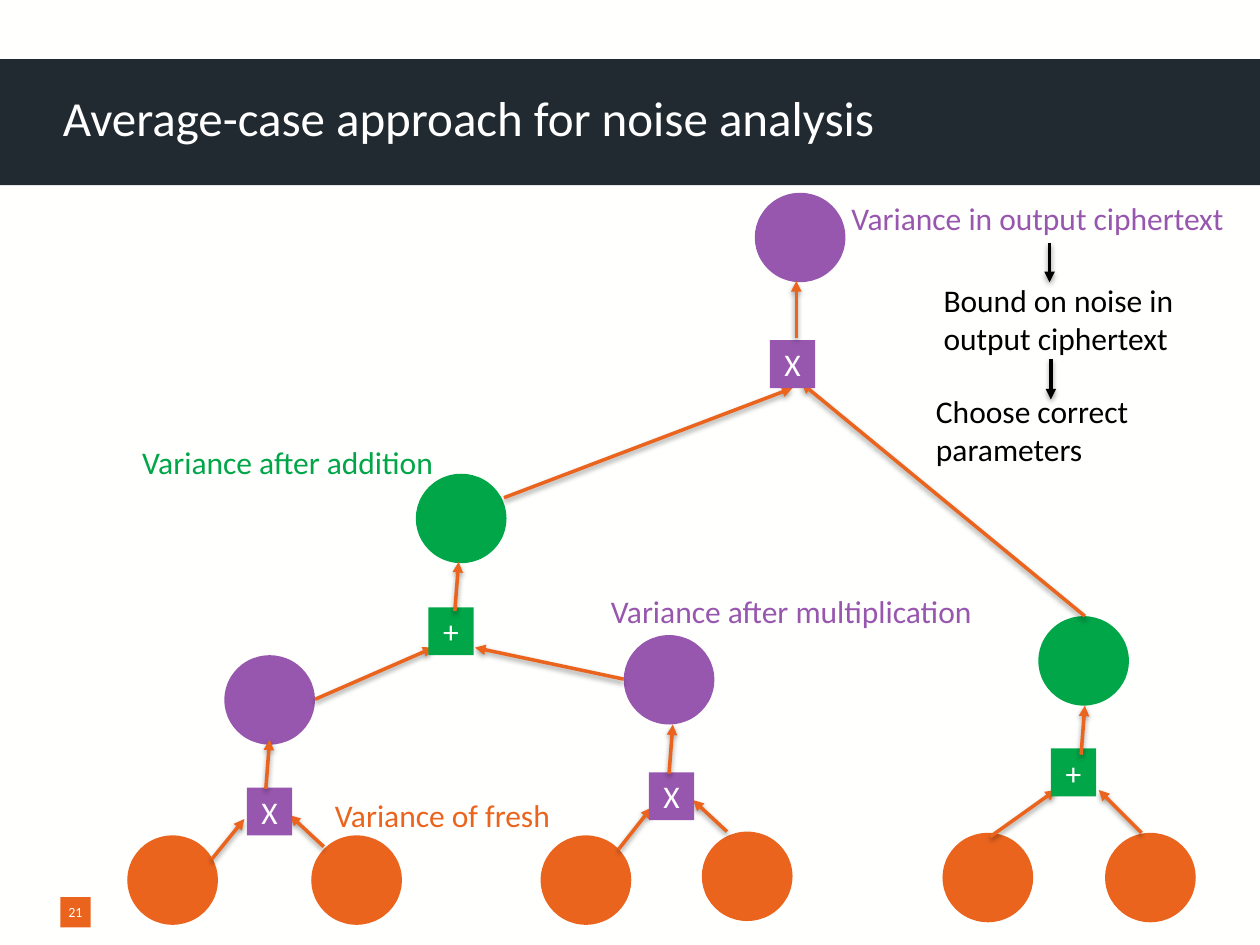
from lxml import etree
from pptx import Presentation
from pptx.dml.color import RGBColor
from pptx.enum.shapes import MSO_CONNECTOR, MSO_SHAPE
from pptx.enum.text import MSO_ANCHOR, PP_ALIGN
from pptx.oxml import parse_xml
from pptx.oxml.ns import nsdecls, qn
from pptx.util import Inches, Pt

RECTANGLE, OVAL = MSO_SHAPE.RECTANGLE, MSO_SHAPE.OVAL
STRAIGHT = MSO_CONNECTOR.STRAIGHT
LEFT, CENTER = PP_ALIGN.LEFT, PP_ALIGN.CENTER
TOP, MIDDLE = MSO_ANCHOR.TOP, MSO_ANCHOR.MIDDLE

PAPER = RGBColor(0xFF, 0xFF, 0xFE)
NAVY = RGBColor(0x20, 0x2A, 0x30)
WHITE = RGBColor(0xFF, 0xFF, 0xFF)
BLACK = RGBColor(0, 0, 0)
ORANGE = RGBColor(0xEB, 0x64, 0x1E)
PURPLE = RGBColor(0x98, 0x57, 0xAE)
GREEN = RGBColor(0x00, 0xA6, 0x48)

FONT = "Calibri"
NODE_SIZE = (0.72, 0.71)
GATE_SIZE = (0.36, 0.38)
GATE_COLORS = {"X": PURPLE, "+": GREEN}

# Left and top of every ciphertext circle
NODES = {
    ORANGE: [(1.01, 6.63), (2.47, 6.63), (4.29, 6.63), (5.57, 6.6),
             (7.48, 6.61), (8.77, 6.61)],
    PURPLE: [(5.99, 1.53), (1.78, 5.2), (4.95, 5.04)],
    GREEN: [(3.3, 3.76), (8.24, 4.89)],
}

# Symbol, left and top, input arrows, output arrow
GATES = [
    ("X", (1.96, 6.25),
     [((1.68, 6.82), (1.94, 6.5)), ((2.57, 6.72), (2.3, 6.47))],
     ((2.11, 6.26), (2.14, 5.87))),
    ("X", (5.15, 6.13),
     [((4.91, 6.74), (5.17, 6.41)), ((5.77, 6.6), (5.5, 6.35))],
     ((5.31, 6.14), (5.34, 5.75))),
    ("+", (8.34, 5.94),
     [((7.86, 6.64), (8.38, 6.27)), ((9.06, 6.61), (8.72, 6.27))],
     ((8.58, 5.99), (8.61, 5.6))),
    ("+", (3.4, 4.82),
     [((2.5, 5.55), (3.44, 5.14)), ((4.95, 5.39), (3.77, 5.14))],
     ((3.61, 4.85), (3.64, 4.46))),
    ("X", (6.11, 2.7),
     [((4, 3.95), (6.29, 3.08)), ((8.61, 4.89), (6.36, 3.04))],
     ((6.32, 2.68), (6.32, 2.23))),
]

# Lines of text, left, top, width, height, color, wrap
LABELS = [
    (["Variance of fresh"], 2.56, 6.27, 1.97, 0.4, ORANGE, True),
    (["Variance after multiplication"], 4.75, 4.65, 3.16, 0.4, PURPLE, False),
    (["Variance after addition"], 1.03, 3.47, 2.59, 0.4, GREEN, False),
    (["Variance in output ciphertext"], 6.66, 1.53, 3.23, 0.4, PURPLE, False),
    (["Bound on noise in", "output ciphertext"],
     7.39, 2.18, 2.1, 0.71, BLACK, False),
    (["Choose correct", "parameters"], 7.33, 3.06, 1.82, 0.71, BLACK, False),
]

STEP_ARROWS = [((8.33, 1.93), (8.33, 2.24)), ((8.34, 2.85), (8.34, 3.17))]

ARROW_SHADOW = (
    f'<a:effectLst {nsdecls("a")}>'
    '<a:outerShdw blurRad="39370" dist="20320" dir="5400000" rotWithShape="0">'
    '<a:srgbClr val="000000"><a:alpha val="38000"/></a:srgbClr>'
    '</a:outerShdw></a:effectLst>'
)


def write_text(shape, lines, *, size=18, color=WHITE, align=LEFT,
               anchor=TOP, wrap=True, inset=None):
    frame = shape.text_frame
    frame.word_wrap = wrap
    frame.vertical_anchor = anchor
    if inset is not None:
        frame.margin_left = frame.margin_right = Inches(inset)
        frame.margin_top = frame.margin_bottom = Inches(inset)
    for index, line in enumerate(lines):
        para = frame.add_paragraph() if index else frame.paragraphs[0]
        para.alignment = align
        span = para.add_run()
        span.text = line
        span.font.name = FONT
        span.font.size = Pt(size)
        span.font.color.rgb = color


def add_block(page, kind, left, top, width, height, color):
    """Add a filled shape without outline or shadow."""
    block = page.shapes.add_shape(
        kind, Inches(left), Inches(top), Inches(width), Inches(height))
    block.shadow.inherit = False
    block.fill.solid()
    block.fill.fore_color.rgb = color
    block.line.fill.background()
    return block


def add_label(page, lines, left, top, width, height, **text_format):
    box = page.shapes.add_textbox(
        Inches(left), Inches(top), Inches(width), Inches(height))
    write_text(box, lines, **text_format)


def add_arrow(page, start, end, color=ORANGE):
    points = [Inches(value) for value in (*start, *end)]
    arrow = page.shapes.add_connector(STRAIGHT, *points)
    arrow.line.color.rgb = color
    arrow.line.width = Pt(2)
    etree.SubElement(arrow.line._get_or_add_ln(), qn("a:tailEnd"),
                     type="triangle")
    arrow._element.spPr.append(parse_xml(ARROW_SHADOW))


def add_gate(page, symbol, corner, inputs, output):
    """Add an operation box over its input arrows and under its output."""
    for start, end in inputs:
        add_arrow(page, start, end)
    gate = add_block(page, RECTANGLE, *corner, *GATE_SIZE, GATE_COLORS[symbol])
    write_text(gate, [symbol], align=CENTER, anchor=MIDDLE)
    add_arrow(page, *output)


def add_frame(page):
    """Add the title band, title and page number."""
    add_block(page, RECTANGLE, 0, 0.47, 10, 1, NAVY)
    add_label(page, ["Average-case approach for noise analysis"],
              0.5, 0.42, 7.16, 1.01, size=28, anchor=MIDDLE, inset=0)
    number = add_block(page, RECTANGLE, 0.48, 7.12, 0.24, 0.24, ORANGE)
    write_text(number, ["21"], size=8, align=CENTER, anchor=MIDDLE, inset=0)


def main():
    deck = Presentation()
    deck.slide_width, deck.slide_height = Inches(10), Inches(7.5)
    page = deck.slides.add_slide(deck.slide_layouts[6])
    page.background.fill.solid()
    page.background.fill.fore_color.rgb = PAPER

    add_frame(page)
    for color, corners in NODES.items():
        for corner in corners:
            add_block(page, OVAL, *corner, *NODE_SIZE, color)
    for gate in GATES:
        add_gate(page, *gate)
    for lines, left, top, width, height, color, wrap in LABELS:
        add_label(page, lines, left, top, width, height, color=color, wrap=wrap)
    for start, end in STEP_ARROWS:
        add_arrow(page, start, end, BLACK)

    deck.save("out.pptx")


if __name__ == "__main__":
    main()
